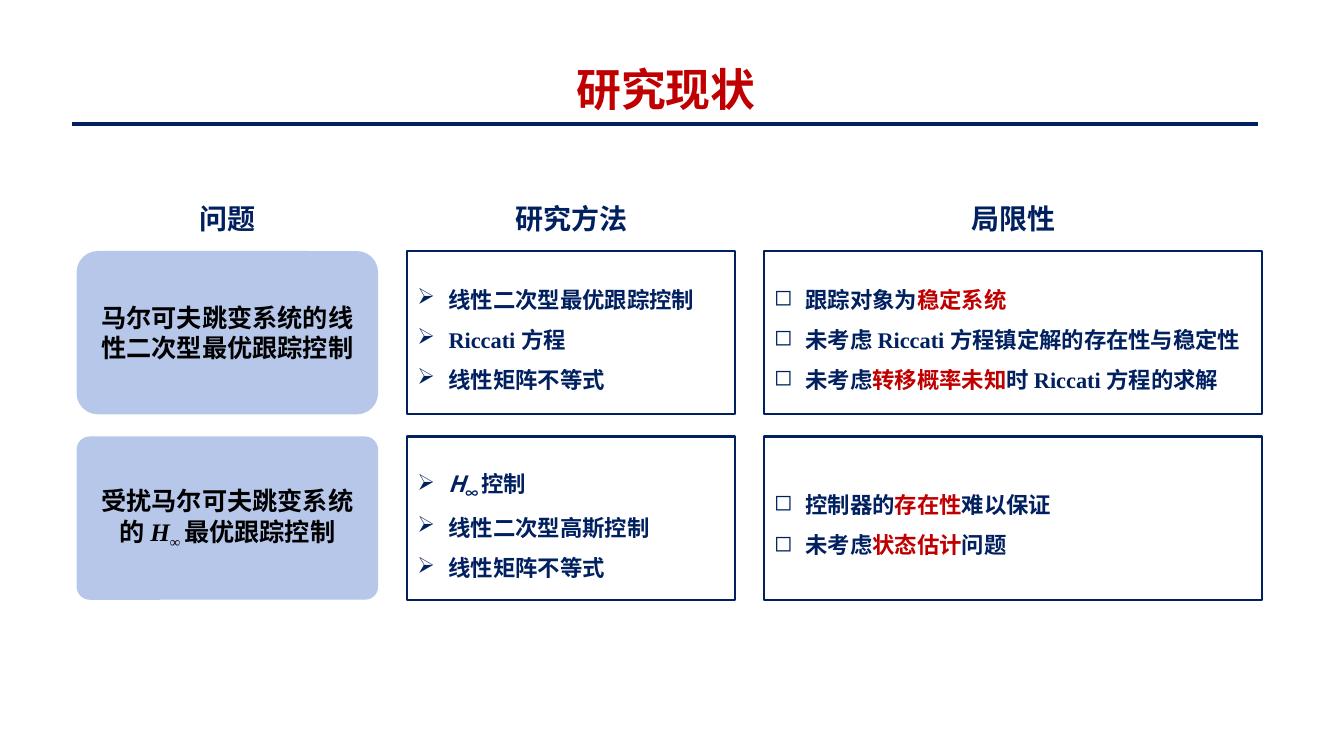
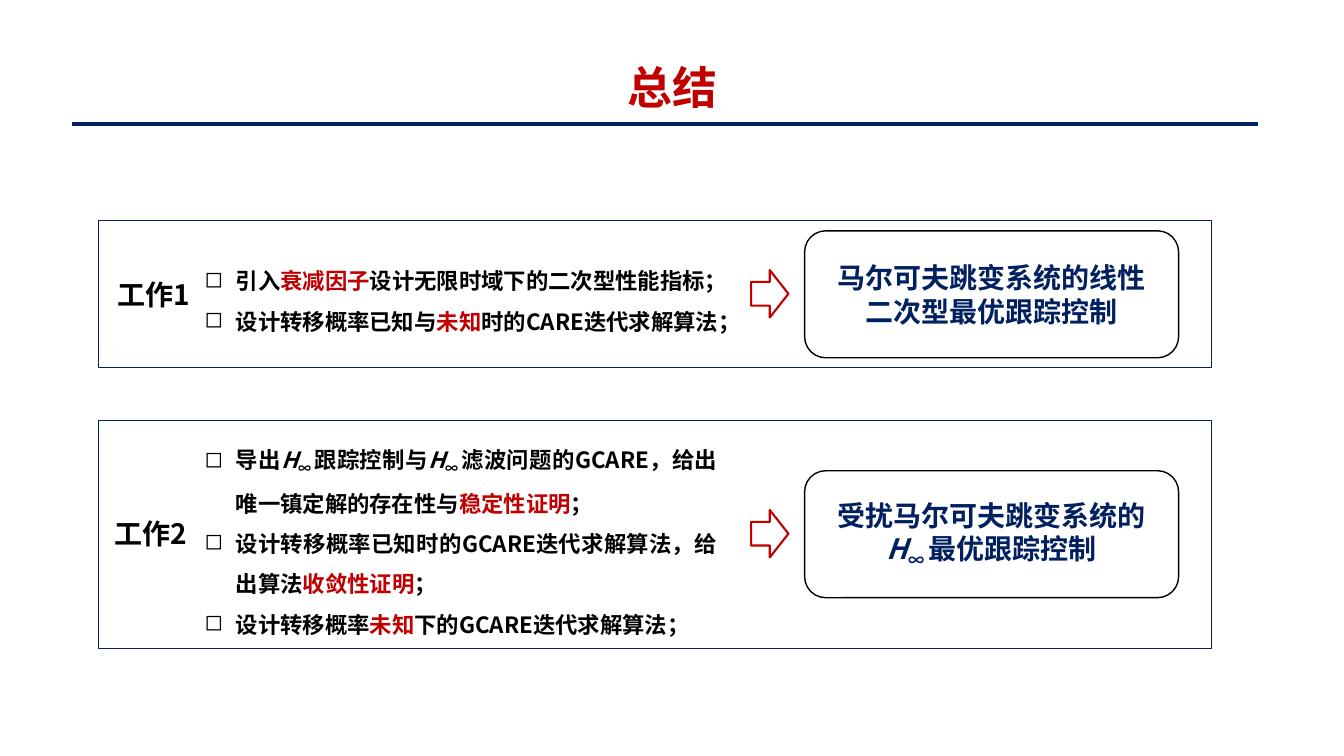
from dataclasses import dataclass

from lxml import etree
from pptx import Presentation
from pptx import util as u
from pptx.dml.color import RGBColor
from pptx.enum import shapes, text
from pptx.oxml import ns

PX = 9144  # EMU; 100 px to the inch
NAVY, RED, BLACK, WHITE, PALE = "002060", "C00000", "000000", "FFFFFF", "B6C7EA"
SANS, SERIF = "Noto Sans CJK SC", "Times New Roman"
CENTER, JUSTIFY = text.PP_ALIGN.CENTER, text.PP_ALIGN.JUSTIFY
TOP, MIDDLE = text.MSO_ANCHOR.TOP, text.MSO_ANCHOR.MIDDLE
Shape = shapes.MSO_SHAPE


@dataclass(frozen=True)
class Box:
    left: int
    top: int
    width: int
    height: int

    def emu(self) -> tuple[int, ...]:
        return tuple(v * PX for v in (self.left, self.top, self.width, self.height))


@dataclass(frozen=True)
class Run:
    text: str
    color: str | None = None
    font: str | None = None
    italic: bool = False
    subscript: bool = False


@dataclass(frozen=True)
class Style:
    size: int
    color: str
    align: text.PP_ALIGN | None = CENTER
    bullet: str | None = None
    space_before: int = 0


@dataclass(frozen=True)
class Column:
    heading: str
    left: int
    width: int
    style: Style
    cells: list


@dataclass(frozen=True)
class Work:
    label: str
    label_left: int
    top: int
    height: int
    body_width: int
    body: list
    result: list


TITLE = Style(32, RED)
HEADING = Style(20, NAVY)
PROBLEM = Style(18, BLACK)
METHOD = Style(16, NAVY, None, "➢")
LIMIT = Style(16, NAVY, None, "◻")
WORK_LABEL = Style(20, BLACK, space_before=3)
WORK_BODY = Style(16, BLACK, JUSTIFY, "◻")


def rgb(color: str) -> RGBColor:
    return RGBColor.from_string(color)


def red(words: str) -> Run:
    return Run(words, RED)


def h_infinity(font: str | None = None) -> list[Run]:
    return [Run("H", font=font, italic=True), Run("∞ ", font=font, subscript=True)]


RICCATI = Run("Riccati ", font=SERIF)
COLUMNS = [
    Column("问题", 76, 299, PROBLEM, [
        [["马尔可夫跳变系统的线性二次型最优跟踪控制"]],
        [["受扰马尔可夫跳变系统的 ", *h_infinity(SERIF), "最优跟踪控制"]],
    ]),
    Column("研究方法", 404, 325, METHOD, [
        [["线性二次型最优跟踪控制"], [RICCATI, "方程"], ["线性矩阵不等式"]],
        [[*h_infinity(), "控制"], ["线性二次型高斯控制"], ["线性矩阵不等式"]],
    ]),
    Column("局限性", 758, 494, LIMIT, [
        [["跟踪对象为", red("稳定系统")],
         [Run("未考虑 Riccati ", font=SERIF), "方程镇定解的存在性与稳定性"],
         ["未考虑", red("转移概率未知"), "时 ", RICCATI, "方程的求解"]],
        [["控制器的", red("存在性"), "难以保证"],
         ["未考虑", red("状态估计"), "问题"]],
    ]),
]
ROW_TOPS, ROW_HEIGHT = (249, 433), 162
CARD_CORNERS = (0.13, 0.08)

WORKS = [
    Work("工作1", 104, 219, 146, 569,
         [["引入", red("衰减因子"), "设计无限时域下的二次型性能指标；"],
          ["设计转移概率已知与", red("未知"), "时的CARE迭代求解算法；"]],
         [["马尔可夫跳变系统的线性二次型最优跟踪控制"]]),
    Work("工作2", 101, 417, 226, 528,
         [["导出", *h_infinity(), "跟踪控制与", *h_infinity(),
           "滤波问题的GCARE，给出唯一镇定解的存在性与", red("稳定性证明"), "；"],
          ["设计转移概率已知时的GCARE迭代求解算法，给出算法", red("收敛性证明"), "；"],
          ["设计转移概率", red("未知"), "下的GCARE迭代求解算法；"]],
         [["受扰马尔可夫跳变系统的", *h_infinity(), "最优跟踪控制"]]),
]


def format_paragraph(paragraph, style: Style) -> None:
    font = paragraph.font
    font.name, font.size, font.bold = SANS, u.Pt(style.size), True
    font.color.rgb = rgb(style.color)
    paragraph.alignment = style.align
    if style.space_before:
        paragraph.space_before = u.Pt(style.space_before)
    properties = paragraph._p.get_or_add_pPr()
    defaults = properties.find(ns.qn("a:defRPr"))
    east_asian = etree.Element(ns.qn("a:ea"), typeface=SANS)
    defaults.find(ns.qn("a:latin")).addnext(east_asian)
    if style.bullet:
        paragraph.line_spacing = 1.5
        properties.set("marL", str(31 * PX))
        properties.set("indent", str(-31 * PX))
        defaults.addprevious(etree.Element(ns.qn("a:buChar"), char=style.bullet))


def add_run(paragraph, part: Run) -> None:
    run = paragraph.add_run()
    run.text = part.text
    if part.color:
        run.font.color.rgb = rgb(part.color)
    if part.font:
        run.font.name = part.font
    if part.italic:
        run.font.italic = True
    if part.subscript:
        run._r.get_or_add_rPr().set("baseline", "-25000")


def write(shape, paragraphs: list, style: Style, anchor=MIDDLE) -> None:
    """Fill a shape with paragraphs, each a list of plain strings and Runs."""
    frame = shape.text_frame
    frame.word_wrap = True
    frame.auto_size = text.MSO_AUTO_SIZE.NONE
    frame.vertical_anchor = anchor
    for index, parts in enumerate(paragraphs):
        paragraph = frame.add_paragraph() if index else frame.paragraphs[0]
        format_paragraph(paragraph, style)
        for part in parts:
            add_run(paragraph, Run(part) if isinstance(part, str) else part)


def add_text(slide, box: Box, paragraphs: list, style: Style, anchor=MIDDLE) -> None:
    write(slide.shapes.add_textbox(*box.emu()), paragraphs, style, anchor)


def add_shape(slide, kind, box: Box, fill: str | None = None,
              line: str | None = None, weight: float = 1):
    shape = slide.shapes.add_shape(kind, *box.emu())
    shape.shadow.inherit = False
    if fill:
        shape.fill.solid()
        shape.fill.fore_color.rgb = rgb(fill)
    else:
        shape.fill.background()
    if line:
        shape.line.color.rgb = rgb(line)
        shape.line.width = u.Pt(weight)
    else:
        shape.line.fill.background()
    return shape


def add_titled_slide(presentation, words: str, box: Box):
    slide = presentation.slides.add_slide(presentation.slide_layouts[5])
    title = slide.shapes.title
    title.left, title.top, title.width, title.height = box.emu()
    write(title, [[words]], TITLE)
    rule = slide.shapes.add_connector(
        shapes.MSO_CONNECTOR.STRAIGHT, 71 * PX, 123 * PX, 1248 * PX, 123 * PX)
    rule.line.color.rgb = rgb(NAVY)
    rule.line.width = u.Pt(3)
    etree.SubElement(rule._element.spPr, ns.qn("a:effectLst"))
    return slide


def add_column(slide, column: Column) -> None:
    add_text(slide, Box(column.left, 195, column.width, 44),
             [[column.heading]], HEADING)
    for top, corner, cell in zip(ROW_TOPS, CARD_CORNERS, column.cells):
        box = Box(column.left, top, column.width, ROW_HEIGHT)
        if column.style is PROBLEM:
            shape = add_shape(slide, Shape.ROUNDED_RECTANGLE, box, fill=PALE)
            shape.adjustments[0] = corner
        else:
            shape = add_shape(slide, Shape.RECTANGLE, box, line=NAVY, weight=1.5)
        write(shape, cell, column.style)


def add_work(slide, work: Work) -> None:
    middle = work.top + work.height // 2
    add_shape(slide, Shape.RECTANGLE, Box(98, work.top, 1104, work.height),
              line=NAVY, weight=0.75)
    add_text(slide, Box(work.label_left, middle - 22, 97, 77),
             [[work.label]], WORK_LABEL, TOP)
    add_text(slide, Box(193, work.top, work.body_width, work.height),
             work.body, WORK_BODY)
    add_shape(slide, Shape.RIGHT_ARROW, Box(745, middle - 24, 37, 47),
              line=RED, weight=1.5)
    result = add_shape(slide, Shape.ROUNDED_RECTANGLE,
                       Box(798, middle - 63, 371, 126), fill=WHITE, line=BLACK)
    result.text_frame.margin_left = result.text_frame.margin_right = 20 * PX
    write(result, work.result, HEADING)


def main() -> None:
    presentation = Presentation()
    presentation.slide_width, presentation.slide_height = 1333 * PX, 750 * PX

    status = add_titled_slide(presentation, "研究现状", Box(74, 56, 1173, 64))
    for column in COLUMNS:
        add_column(status, column)

    summary = add_titled_slide(presentation, "总结", Box(218, 54, 898, 64))
    for work in WORKS:
        add_work(summary, work)

    presentation.save("out.pptx")


if __name__ == "__main__":
    main()
